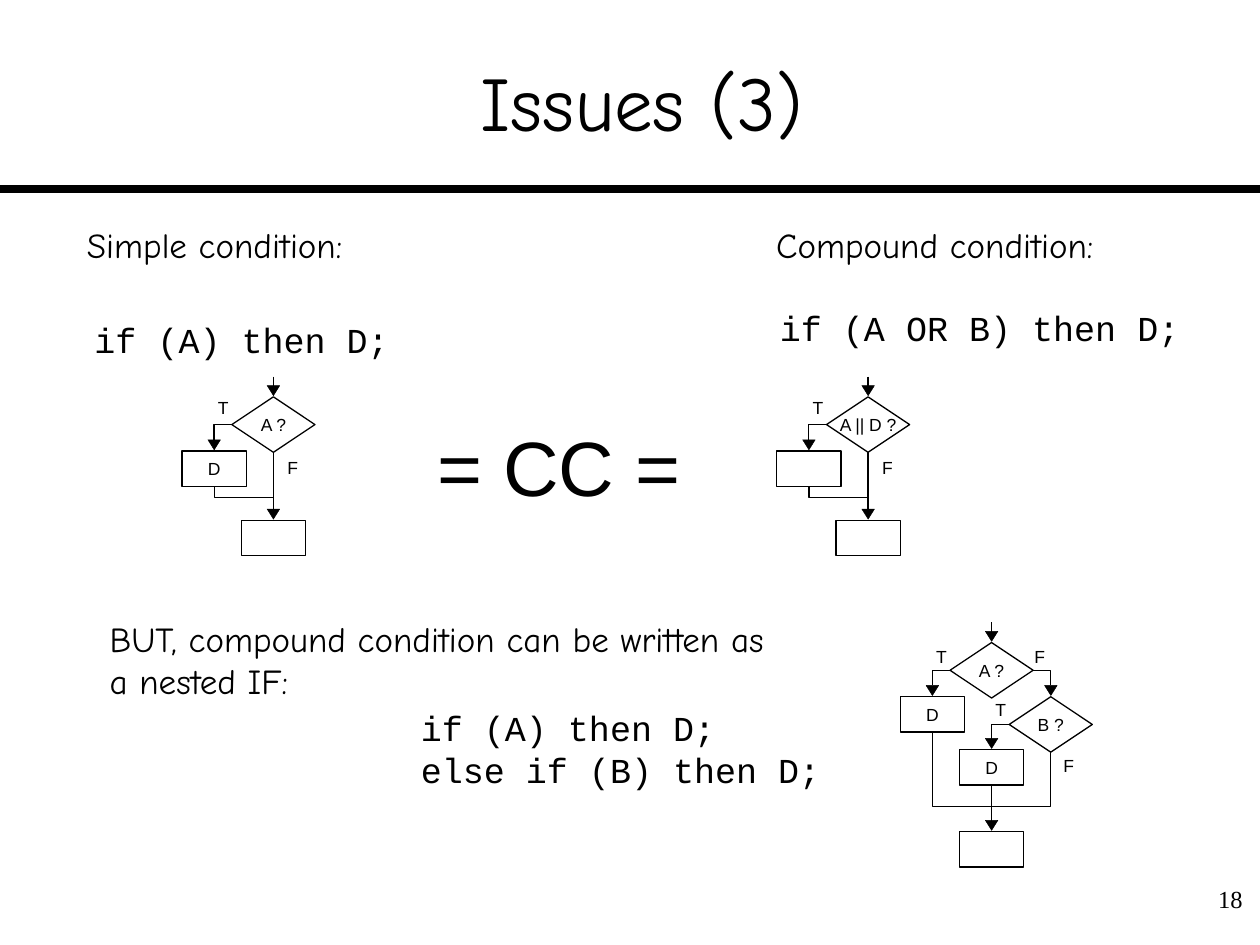
from dataclasses import dataclass
from typing import Any

import lxml.etree
import pptx
import pptx.dml.color
import pptx.enum.shapes
import pptx.enum.text
import pptx.oxml.ns
import pptx.util

Inches = pptx.util.Inches
Pt = pptx.util.Pt
Shape = pptx.enum.shapes.MSO_SHAPE
Connector = pptx.enum.shapes.MSO_CONNECTOR
Align = pptx.enum.text.PP_ALIGN
Anchor = pptx.enum.text.MSO_ANCHOR
qn = pptx.oxml.ns.qn

BLACK = pptx.dml.color.RGBColor(0x00, 0x00, 0x00)
WHITE = pptx.dml.color.RGBColor(0xFF, 0xFF, 0xFF)
HAND, SANS, CODE, SERIF = "Comic Neue", "Arial", "Courier New", "Times New Roman"

# Flowchart measures, in inches
BRANCH = 0.47           # sideways distance from a decision to its branch
ROW = 0.43              # drop from a decision to the next row
DIAMOND_W, DIAMOND_H = 0.66, 0.44
BOX_W, BOX_H = 0.51, 0.28
HEAD_W, HEAD_H = 0.1, 0.08
HEAD_GAP = 0.09         # from the top of an arrowhead to its target

TIGHT = {"margin_left": Inches(0.01), "margin_right": Inches(0.01),
         "margin_top": 0, "margin_bottom": 0}
PADDED = {"margin_left": Inches(0.1), "margin_right": Inches(0.1),
          "margin_top": Inches(0.05), "margin_bottom": Inches(0.05)}


@dataclass
class Caption:
    lines: list[str]
    left: float
    top: float
    width: float
    height: float
    font: str = SANS
    size: int = 10
    align: Any = Align.LEFT
    anchor: Any = Anchor.TOP
    wrap: bool = False
    padded: bool = False


CAPTIONS = [
    Caption(["18"], 9.45, 6.97, 0.51, 0.5, SERIF, 14, Align.RIGHT, wrap=True, padded=True),
    Caption(["Issues (3)"], 0.35, 0.17, 9.49, 1.25, HAND, 44, Align.CENTER,
            Anchor.MIDDLE, True, True),
    Caption(["= CC ="], 3.46, 3.33, 2.13, 0.73, SANS, 44),
    Caption(["Simple condition:"], 0.68, 1.77, 2.05, 0.33, HAND, 20),
    Caption(["Compound condition:"], 6.15, 1.77, 2.54, 0.33, HAND, 20),
    Caption(["if (A) then D;"], 0.74, 2.53, 2.4, 0.33, CODE, 20),
    Caption(["if (A OR B) then D;"], 6.18, 2.43, 3.25, 0.33, CODE, 20),
    Caption(["BUT, compound condition can be written as a nested IF:"],
            0.86, 4.9, 5.41, 0.67, HAND, 20, wrap=True),
    Caption(["if (A) then D;", "else if (B) then D;"], 3.33, 5.61, 3.25, 0.67, CODE, 20),
]


def apply(target: Any, values: dict[str, Any]) -> None:
    for name, value in values.items():
        setattr(target, name, value)


def write(box: Any, lines: list[str], font: str, size: int, align: Any,
          frame_format: dict[str, Any]) -> None:
    frame = box.text_frame
    apply(frame, frame_format)
    for index, line in enumerate(lines):
        para = frame.add_paragraph() if index else frame.paragraphs[0]
        para.alignment = align
        span = para.add_run()
        span.text = line
        apply(span.font, {"name": font, "size": Pt(size)})
        span.font.color.rgb = BLACK


def draw_caption(page: Any, item: Caption) -> None:
    box = page.shapes.add_textbox(
        *map(Inches, (item.left, item.top, item.width, item.height)))
    write(box, item.lines, item.font, item.size, item.align,
          {**(PADDED if item.padded else TIGHT),
           "word_wrap": item.wrap, "vertical_anchor": item.anchor})


def draw_label(page: Any, text: str, left: float, top: float) -> None:
    draw_caption(page, Caption([text], left, top, 0.11, 0.17))


def draw_line(page: Any, x1: float, y1: float, x2: float, y2: float,
              kind: Any = Connector.STRAIGHT, width: float = 0.75) -> Any:
    line = page.shapes.add_connector(kind, *map(Inches, (x1, y1, x2, y2)))
    line.line.width = Pt(width)
    line.line.color.rgb = BLACK
    lxml.etree.SubElement(line._element.spPr, qn("a:effectLst"))
    return line


def draw_corner(page: Any, x1: float, y1: float, x2: float, y2: float) -> None:
    """One bend: sideways, then down."""
    line = draw_line(page, x1, y1, x2, y2, Connector.ELBOW)
    line._element.spPr.find(qn("a:prstGeom")).set("prst", "bentConnector2")


def draw_join(page: Any, x1: float, y1: float, x2: float, y2: float, bend: float) -> None:
    """Two bends: down to the height of bend, across, then on to the end."""
    middle_x, middle_y = (x1 + x2) / 2, (y1 + y2) / 2
    half_w, half_h = (y2 - y1) / 2, (x2 - x1) / 2
    line = draw_line(page, middle_x - half_w, middle_y - half_h,
                     middle_x + half_w, middle_y + half_h, Connector.ELBOW)
    properties = line._element.spPr
    frame = properties.find(qn("a:xfrm"))
    frame.set("rot", "16200000")
    frame.set("flipH", "1")
    guides = properties.find(qn("a:prstGeom")).get_or_add_avLst()
    guide = lxml.etree.SubElement(guides, qn("a:gd"))
    guide.set("name", "adj1")
    guide.set("fmla", f"val {round((bend - y1) / (y2 - y1) * 100000)}")


def draw_shape(page: Any, kind: Any, x: float, top: float, width: float,
               height: float, fill: Any = WHITE, outline: float = 0.75) -> Any:
    shape = page.shapes.add_shape(
        kind, *map(Inches, (x - width / 2, top, width, height)))
    shape.shadow.inherit = False
    shape.fill.solid()
    shape.fill.fore_color.rgb = fill
    shape.line.color.rgb = BLACK
    shape.line.width = Pt(outline)
    return shape


def draw_node(page: Any, kind: Any, x: float, top: float, width: float,
              height: float, text: str) -> None:
    node = draw_shape(page, kind, x, top, width, height)
    if text:
        write(node, [text], SANS, 10, Align.CENTER,
              {**PADDED, "margin_top": 0, "margin_bottom": 0,
               "word_wrap": False, "vertical_anchor": Anchor.MIDDLE})
    head = draw_shape(page, Shape.ISOSCELES_TRIANGLE, x, top - HEAD_GAP,
                      HEAD_W, HEAD_H, BLACK, 0.25)
    head.rotation = 180


def draw_decision(page: Any, x: float, top: float, text: str) -> None:
    draw_node(page, Shape.FLOWCHART_DECISION, x, top, DIAMOND_W, DIAMOND_H, text)


def draw_step(page: Any, x: float, top: float, text: str = "") -> None:
    draw_node(page, Shape.FLOWCHART_PROCESS, x, top, BOX_W, BOX_H, text)


def draw_branch(page: Any, x: float, top: float, side: int) -> None:
    """Line from a decision's side (-1 left, 1 right) to the row below."""
    draw_corner(page, x + side * DIAMOND_W / 2, top + DIAMOND_H / 2,
                x + side * BRANCH, top + ROW - HEAD_GAP)


def draw_simple_chart(page: Any, x: float, top: float, question: str, action: str) -> None:
    draw_line(page, x, top - 0.16, x, top - 0.08)
    draw_line(page, x, top + DIAMOND_H, x, top + 0.89)
    draw_branch(page, x, top, -1)
    draw_join(page, x - BRANCH, top + ROW + BOX_H, x, top + 0.89, top + 0.8)
    draw_decision(page, x, top, question)
    draw_step(page, x - BRANCH, top + ROW, action)
    draw_step(page, x, top + 0.98)
    draw_label(page, "T", x - 0.45, top)
    draw_label(page, "F", x + 0.1, top + 0.48)


def draw_nested_chart(page: Any, x: float, top: float) -> None:
    left, right, second = x - BRANCH, x + BRANCH, top + ROW
    draw_line(page, x, top - 0.16, x, top - 0.08)
    draw_branch(page, x, top, -1)
    draw_branch(page, x, top, 1)
    draw_branch(page, right, second, -1)
    draw_join(page, left, second + BOX_H, right, second + DIAMOND_H, top + 1.3)
    draw_line(page, x, top + 1.13, x, top + 1.42)
    draw_decision(page, x, top, "A ?")
    draw_decision(page, right, second, "B ?")
    draw_step(page, left, second, "D")
    draw_step(page, x, second + ROW - 0.01, "D")
    draw_step(page, x, top + 1.5)
    for text, label_x, label_top in (("T", x - 0.45, top + 0.03), ("F", x + 0.33, top + 0.03),
                                     ("T", right - 0.45, second + 0.02),
                                     ("F", right + 0.09, second + 0.46)):
        draw_label(page, text, label_x, label_top)


def main() -> None:
    deck = pptx.Presentation()
    apply(deck, {"slide_width": Inches(10), "slide_height": Inches(7.5)})
    page = deck.slides.add_slide(deck.slide_layouts[6])

    # Rule under the title
    draw_line(page, 0, 1.5, 10, 1.5, width=4.5)

    # Title, code and explanations
    for item in CAPTIONS:
        draw_caption(page, item)

    # Flowcharts
    draw_simple_chart(page, 2.17, 3.15, "A ?", "D")
    draw_simple_chart(page, 6.89, 3.15, "A || D ?", "")
    draw_nested_chart(page, 7.87, 5.1)

    deck.save("out.pptx")


if __name__ == "__main__":
    main()
